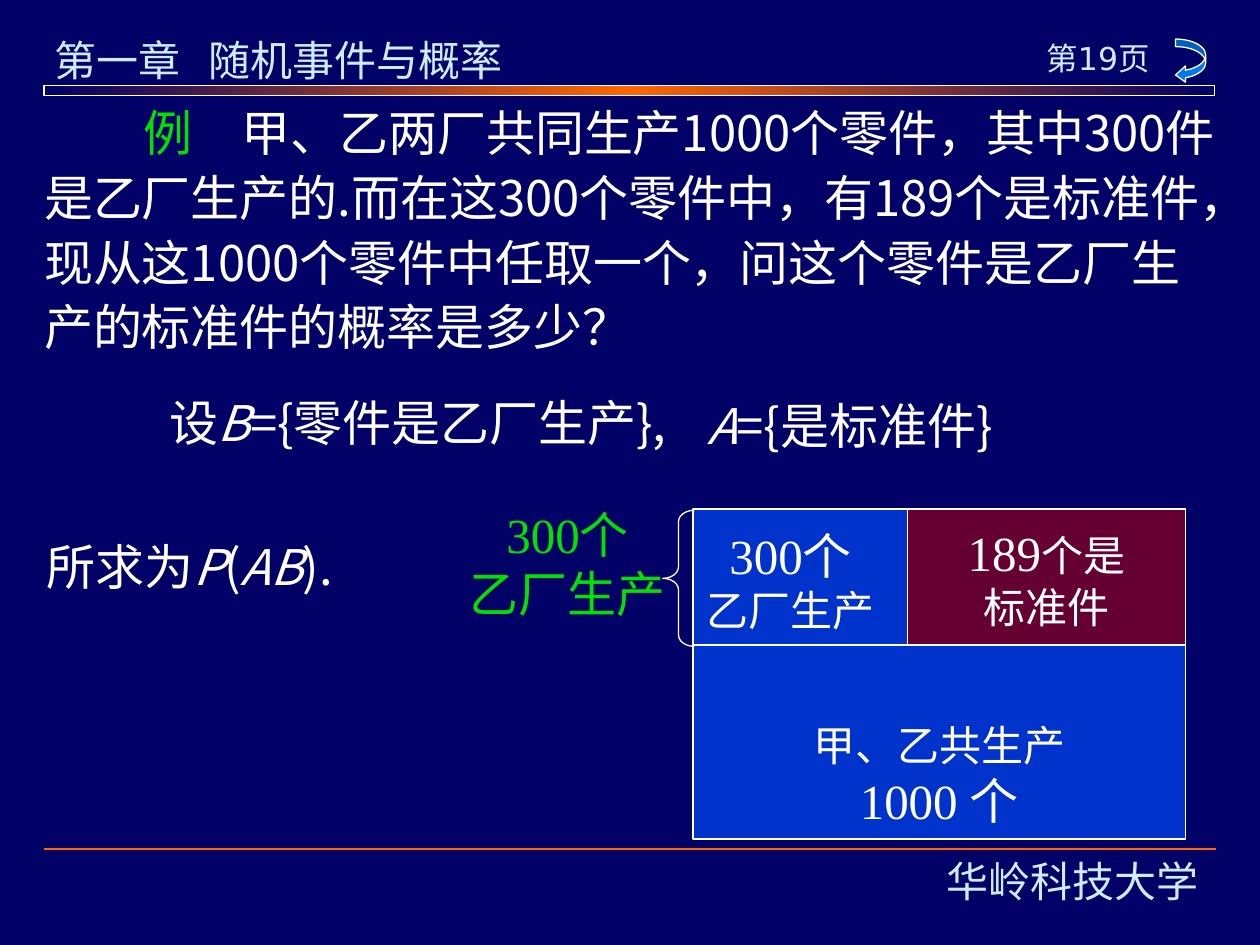
from copy import deepcopy

from pptx import Presentation
from pptx import util as u
from pptx.dml import color as dml
from pptx.enum import shapes, text
from pptx.oxml import ns, xmlchemy

Inches, Pt = u.Inches, u.Pt
SHAPE, ALIGN, ANCHOR = shapes.MSO_SHAPE, text.PP_ALIGN, text.MSO_ANCHOR
COLORS = {
    "navy": "000066", "orange": "FF6600", "white": "FFFFFF", "pale": "CCECFF",
    "green": "00E200", "blue": "0033CC", "maroon": "660033", "arrow": "0078F0",
}
SANS, SERIF = "Noto Sans CJK SC", "Times New Roman"


def rgb(name):
    return dml.RGBColor.from_string(COLORS[name])


def inches(*values):
    return [Inches(value) for value in values]


def write(shape, lines, font=SANS, color="white", align=ALIGN.CENTER,
          anchor=ANCHOR.MIDDLE, wrap=False):
    """Fill a shape with lines, each a list of (text, size[, changes]) runs."""
    frame = shape.text_frame
    frame.auto_size = text.MSO_AUTO_SIZE.NONE
    frame.word_wrap = wrap
    frame.vertical_anchor = anchor
    for number, runs in enumerate(lines):
        paragraph = frame.add_paragraph() if number else frame.paragraphs[0]
        paragraph.alignment = align
        paragraph.space_before = Pt(0)
        for words, size, *changes in runs:
            style = {"font": font, "color": color, "italic": False, "spacing": 0}
            style.update(*changes)
            run = paragraph.add_run()
            run.text = words
            run.font.size = Pt(size)
            run.font.name = style["font"]
            run.font.italic = style["italic"]
            run.font.color.rgb = rgb(style["color"])
            if style["spacing"]:
                run._r.get_or_add_rPr().set("spc", str(style["spacing"] * 100))
    return frame


def add_text(slide, box, lines, **options):
    return write(slide.shapes.add_textbox(*inches(*box)), lines, **options)


def add_panel(slide, kind, box, fill=None):
    shape = slide.shapes.add_shape(kind, *inches(*box))
    shape.shadow.inherit = False
    shape.line.color.rgb = rgb("white")
    shape.line.width = Pt(0.75)
    if fill:
        shape.fill.solid()
        shape.fill.fore_color.rgb = rgb(fill)
    else:
        shape.fill.background()
    return shape


def add_rule(slide, left, top, width, color, weight):
    line = slide.shapes.add_connector(
        shapes.MSO_CONNECTOR.STRAIGHT, *inches(left, top, left + width, top))
    line.line.color.rgb = rgb(color)
    line.line.width = Pt(weight)
    line.element.spPr.append(xmlchemy.OxmlElement("a:effectLst"))


def indent_without_bullet(paragraph, first_line):
    properties = paragraph._p.get_or_add_pPr()
    properties.set("marL", "0")
    properties.set("indent", str(Inches(first_line)))
    properties.append(xmlchemy.OxmlElement("a:buNone"))


def place(shape, box):
    shape.left, shape.top, shape.width, shape.height = inches(*box)


def glow_across(shape):
    """Shade the shape from navy through orange back to navy."""
    shape.fill.gradient()
    shape.fill.gradient_angle = 0
    stops = shape.element.spPr.find(ns.qn("a:gradFill")).find(ns.qn("a:gsLst"))
    stops.insert(1, deepcopy(stops[0]))
    for stop, name, position in zip(shape.fill.gradient_stops,
                                    ("navy", "orange", "navy"), (0, 0.5, 1)):
        stop.color.rgb = rgb(name)
        stop.position = position


def add_header(slide, left, top, width):
    title = slide.shapes.title
    place(title, (left - 0.02, top, 4.4, 0.5))
    write(title, [[("第一章", 24), (" ", 24, {"spacing": 11}),
                   ("随机事件与概率", 24)]],
          font="Comic Neue", color="pale", align=ALIGN.LEFT, anchor=ANCHOR.TOP)
    glow_across(add_panel(slide, SHAPE.RECTANGLE,
                          (left, top + 0.46, width, 0.08), "navy"))
    add_text(slide, (left + 7.75, top + 0.04, 1.23, 0.76), [[("第19页", 18)]],
             font="DejaVu Sans", color="pale", anchor=ANCHOR.TOP, wrap=True)
    arrow = add_panel(slide, SHAPE.CURVED_LEFT_ARROW,
                      (left + 8.98, top + 0.09, 0.24, 0.35), "arrow")
    for number, value in enumerate((0.25, 0.54, 0.33)):
        arrow.adjustments[number] = value


def add_footer(slide, left, top, width):
    add_rule(slide, left, top, width, "orange", 1)
    add_text(slide, (left + 6.92, top, 2.49, 0.9), [[("华岭科技大学", 24)]],
             font="Karla", color="pale", anchor=ANCHOR.TOP, wrap=True)


def add_problem(slide, box):
    body = slide.placeholders[1]
    place(body, box)
    problem = ("甲、乙两厂共同生产1000个零件，其中300件是乙厂生产的.而在这300个零件中，"
               "有189个是标准件，现从这1000个零件中任取一个，问这个零件是乙厂生产的"
               "标准件的概率是多少？")
    example = ("例　", 28, {"font": SERIF, "color": "green"})
    frame = write(body, [[example, (problem, 28)]], align=ALIGN.LEFT,
                  anchor=ANCHOR.TOP, wrap=True)
    frame.paragraphs[0].line_spacing = 1.1
    indent_without_bullet(frame.paragraphs[0], 0.79)


def add_solution(slide, left, top):
    italic = {"italic": True}
    add_text(slide, (left + 0.77, top, 4.55, 0.57),
             [[("设", 28), ("B", 28, italic), ("={零件是乙厂生产},", 28)]])
    add_text(slide, (left + 5.12, top + 0.03, 2.71, 0.57),
             [[("A", 28, italic), ("={是标准件}", 28)]])
    add_text(slide, (left, top + 1.15, 3.17, 0.57),
             [[("所求为", 28), ("P", 28, italic), ("(", 28),
               ("AB", 28, italic), (").", 28)]],
             align=ALIGN.LEFT, anchor=ANCHOR.TOP, wrap=True)


def add_diagram(slide, left, top, width, height):
    """Nested rectangles: all parts, factory B parts and standard parts."""
    row, split = 1.08, 1.7
    whole = add_panel(slide, SHAPE.RECTANGLE, (left, top, width, height), "blue")
    frame = write(whole, [[("甲、乙共生产", 24)], [("1000 个", 28)]], font=SERIF,
                  anchor=ANCHOR.BOTTOM)
    frame.margin_bottom = Inches(0.08)
    standard = add_panel(slide, SHAPE.RECTANGLE,
                         (left + split, top, width - split, row), "maroon")
    write(standard, [[("189", 28), ("个是", 24)], [("标准件", 24)]], font=SERIF)
    add_rule(slide, left, top + row, 3.25, "white", 0.75)
    add_text(slide, (left + 0.01, top + 0.08, 1.53, 0.97),
             [[("300个", 28)], [("乙厂生产", 24)]], font=SERIF)
    brace = add_panel(slide, SHAPE.LEFT_BRACE, (left - 0.24, top + 0.01, 0.25, row))
    brace.adjustments[0] = 0.36
    add_text(slide, (left - 1.87, top - 0.09, 1.75, 1.04),
             [[("300个", 28)], [("乙厂生产", 28)]], font=SERIF, color="green")


def main():
    presentation = Presentation()
    presentation.slide_width, presentation.slide_height = inches(10, 7.5)
    slide = presentation.slides.add_slide(presentation.slide_layouts[1])
    slide.background.fill.solid()
    slide.background.fill.fore_color.rgb = rgb("navy")
    add_header(slide, 0.35, 0.22, 9.29)
    add_footer(slide, 0.35, 6.74, 9.3)
    add_problem(slide, (0.25, 0.72, 9.58, 2.16))
    add_solution(slide, 0.27, 3.06)
    add_diagram(slide, 5.5, 4.04, 3.91, 2.62)
    presentation.save("out.pptx")


if __name__ == "__main__":
    main()
